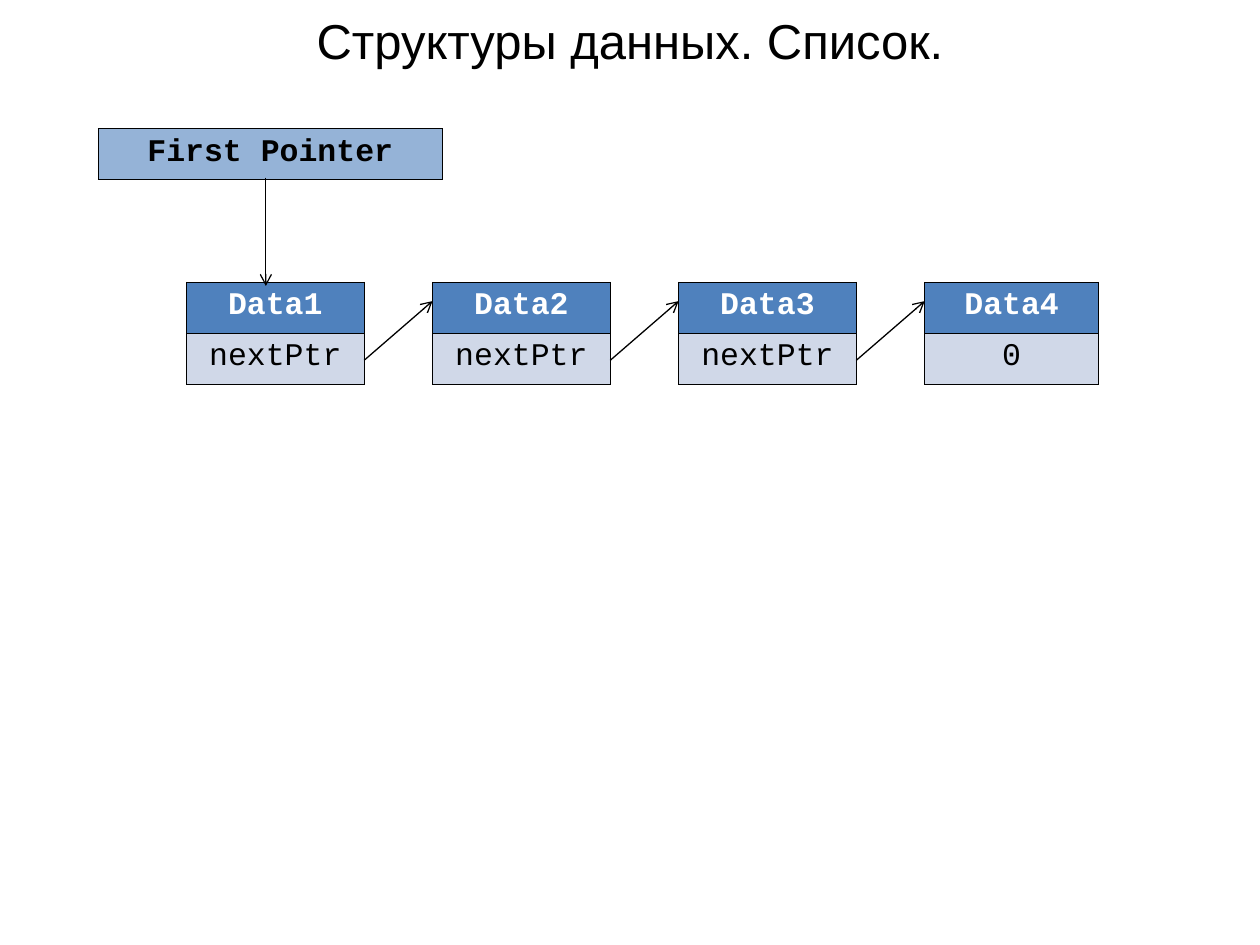
from lxml import etree
from pptx import Presentation
from pptx.dml.color import RGBColor
from pptx.enum.shapes import MSO_CONNECTOR
from pptx.enum.text import MSO_ANCHOR, PP_ALIGN
from pptx.oxml import parse_xml
from pptx.oxml.ns import nsdecls, qn
from pptx.util import Inches, Pt

STRAIGHT = MSO_CONNECTOR.STRAIGHT
CENTER = PP_ALIGN.CENTER
MIDDLE = MSO_ANCHOR.MIDDLE

TITLE = "Структуры данных. Список."
BLACK, WHITE = "000000", "FFFFFF"
POINTER_FILL, DATA_FILL, NEXT_FILL = "95B3D7", "4F81BD", "D0D8E8"

# Data, next pointer, table width
NODES = [
    ("Data1", "nextPtr", 1.41),
    ("Data2", "nextPtr", 1.41),
    ("Data3", "nextPtr", 1.41),
    ("Data4", "0", 1.38),
]
NODE_LEFT, NODE_TOP, NODE_STEP = 1.48, 2.24, 1.953
ROW_H = 0.405
LINK_START_Y, LINK_END_Y = 2.86, 2.39


def rgb(value):
    return RGBColor.from_string(value)


def write(tf, text, size=18, font="Courier New", color=BLACK, bold=False):
    p = tf.paragraphs[0]
    p.alignment = CENTER
    r = p.add_run()
    r.text = text
    r.font.size = Pt(size)
    r.font.name = font
    r.font.bold = bold
    r.font.color.rgb = rgb(color)


def add_borders(cell, color=BLACK, width=0.45):
    tc_pr = cell._tc.get_or_add_tcPr()
    for i, side in enumerate(("lnL", "lnR", "lnT", "lnB")):
        tc_pr.insert(i, parse_xml(
            f'<a:{side} {nsdecls("a")} w="{Pt(width)}"><a:solidFill>'
            f'<a:srgbClr val="{color}"/></a:solidFill></a:{side}>'))


def add_column_table(slide, left, top, width, rows):
    """Add a one-column table; each row is (text, fill, text colour, bold)."""
    table = slide.shapes.add_table(
        len(rows), 1, Inches(left), Inches(top),
        Inches(width), Inches(ROW_H * len(rows))).table
    for i, (text, fill, color, bold) in enumerate(rows):
        cell = table.cell(i, 0)
        cell.fill.solid()
        cell.fill.fore_color.rgb = rgb(fill)
        add_borders(cell)
        write(cell.text_frame, text, color=color, bold=bold)


def add_arrow(slide, x1, y1, x2, y2):
    line = slide.shapes.add_connector(
        STRAIGHT, Inches(x1), Inches(y1), Inches(x2), Inches(y2))
    line.line.color.rgb = rgb(BLACK)
    line.line.width = Pt(0.75)
    etree.SubElement(line.line._get_or_add_ln(), qn("a:tailEnd"), type="arrow")
    etree.SubElement(line._element.spPr, qn("a:effectLst"))


def main():
    prs = Presentation()
    prs.slide_width, prs.slide_height = Inches(10), Inches(7.5)
    slide = prs.slides.add_slide(prs.slide_layouts[5])

    title = slide.shapes.title
    title.left, title.top = Inches(0), Inches(0)
    title.width, title.height = Inches(10), Inches(0.63)
    title.text_frame.vertical_anchor = MIDDLE
    write(title.text_frame, TITLE, size=28, font="Arial")

    for i, (data, next_ptr, width) in enumerate(NODES):
        left = NODE_LEFT + i * NODE_STEP
        add_column_table(slide, left, NODE_TOP, width, [
            (data, DATA_FILL, WHITE, True),
            (next_ptr, NEXT_FILL, BLACK, False),
        ])
        if i < len(NODES) - 1:
            add_arrow(slide, left + width, LINK_START_Y,
                      left + NODE_STEP, LINK_END_Y)

    add_column_table(slide, 0.78, 1.02, 2.73,
                     [("First Pointer", POINTER_FILL, BLACK, True)])
    add_arrow(slide, 2.11, 1.41, 2.11, 2.27)

    prs.save("out.pptx")


if __name__ == "__main__":
    main()
